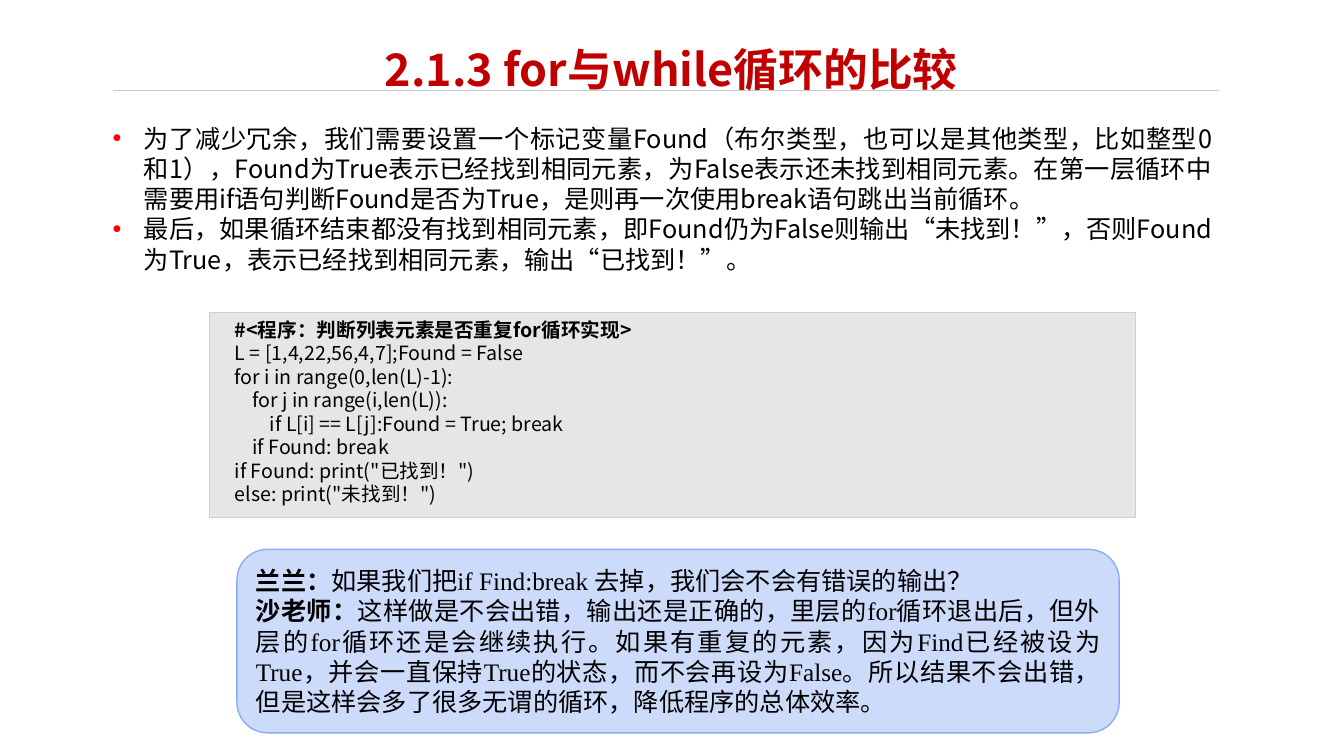
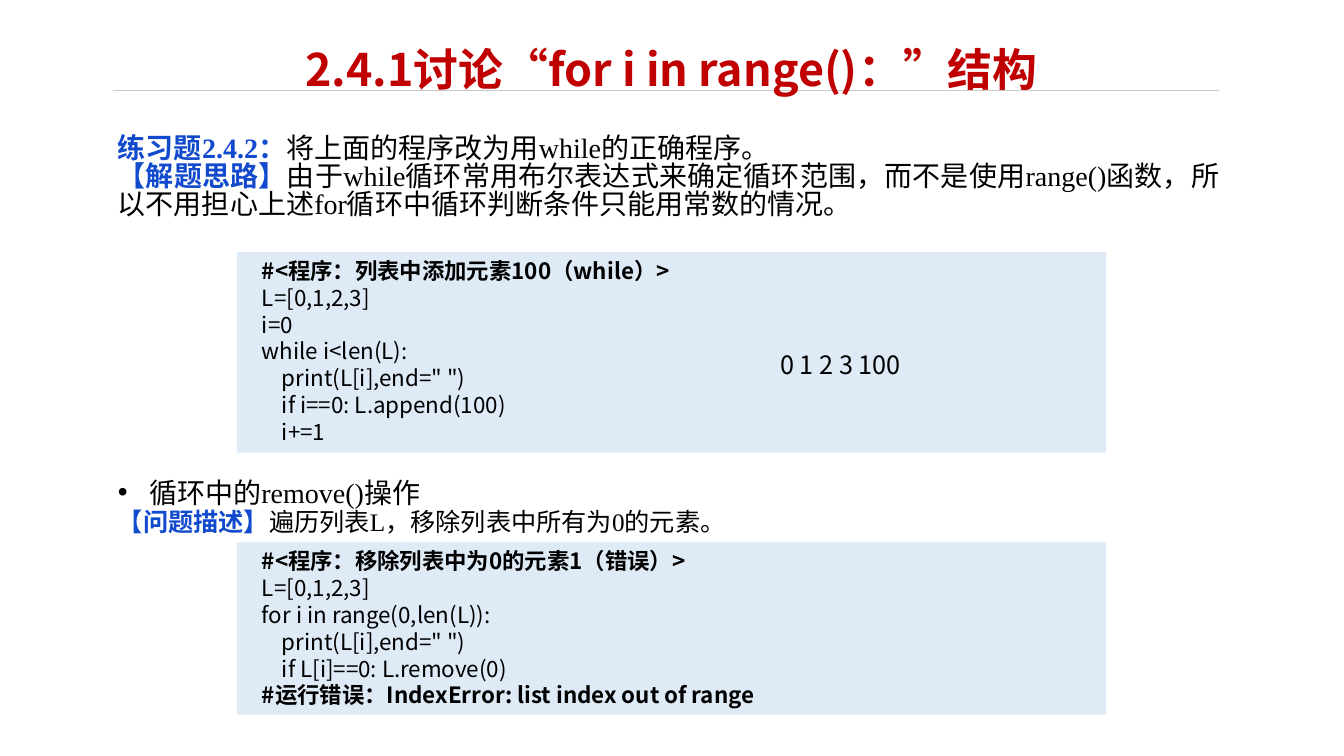
from lxml.etree import SubElement
from pptx import Presentation
from pptx.dml.color import RGBColor
from pptx.enum.lang import MSO_LANGUAGE_ID
from pptx.enum.shapes import MSO_CONNECTOR, MSO_SHAPE
from pptx.enum.text import MSO_ANCHOR, MSO_AUTO_SIZE, PP_ALIGN
from pptx.oxml.ns import qn
from pptx.util import Inches, Pt

# Shared style
SANS, SERIF = "Noto Sans CJK SC", "Times New Roman"
BLACK = RGBColor(0x00, 0x00, 0x00)
TITLE_RED = RGBColor(0xC0, 0x00, 0x00)
BULLET_RED = RGBColor(0xFF, 0x00, 0x00)
LABEL_BLUE = RGBColor(0x12, 0x4A, 0xCD)
RULE_GREY = RGBColor(0xC9, 0xC9, 0xC9)
CODE_GREY = RGBColor(0xE7, 0xE6, 0xE6)
CODE_EDGE = RGBColor(0xD0, 0xCE, 0xCE)
CODE_BLUE = RGBColor(0xDE, 0xEA, 0xF6)
TALK_BLUE = RGBColor(0xCD, 0xDB, 0xFB)
TALK_EDGE = RGBColor(0x8B, 0xAC, 0xF5)
WIDTH, HEIGHT = 13.33, 7.5
TITLE_WIDTH = 8.62
TITLE_LEFT = 2.35
LINE_FACTOR = 1.2
HANG = 0.31
CODE_INDENT = 0.15
BOLD = {"bold": True}
LABEL = {"bold": True, "color": LABEL_BLUE}

# Content: a paragraph is (runs, paragraph format), a run is (text, run format)
COMPARE_TITLE = "2.1.3 for与while循环的比较"
FLAG_POINTS = [
    "为了减少冗余，我们需要设置一个标记变量Found（布尔类型，也可以是其他类型，比如整型0和1），"
    "Found为True表示已经找到相同元素，为False表示还未找到相同元素。在第一层循环中需要用if语句"
    "判断Found是否为True，是则再一次使用break语句跳出当前循环。 ",
    "最后，如果循环结束都没有找到相同元素，即Found仍为False则输出“未找到！”，"
    "否则Found为True，表示已经找到相同元素，输出“已找到！”。",
]
DUPLICATE_CODE = """#<程序：判断列表元素是否重复for循环实现>
L = [1,4,22,56,4,7];Found = False
for i in range(0,len(L)-1):
    for j in range(i,len(L)):
        if L[i] == L[j]:Found = True; break
    if Found: break
if Found: print("已找到！")
else: print("未找到！")"""
DIALOGUE = [
    ([("兰兰：", BOLD), ("如果我们把", {}), ("if Find:break ", {}),
      ("去掉，我们会不会有错误的输出？", {})], {}),
    ([("沙老师：", BOLD),
      ("这样做是不会出错，输出还是正确的，里层的for循环退出后，但外层的for循环还是会继续执行。"
       "如果有重复的元素，因为Find已经被设为True，并会一直保持True的状态，而不会再设为False。"
       "所以结果不会出错，但是这样会多了很多无谓的循环，降低程序的总体效率。", {})], {}),
]

RANGE_TITLE = "2.4.1讨论“for i in range()：”结构"
EXERCISE = [
    ([("练习题2.4.2：", LABEL), ("将上面的程序改为用while的正确程序。", {})], {}),
    ([("【解题思路】", LABEL),
      ("由于while循环常用布尔表达式来确定循环范围，而不是使用range()函数，"
       "所以不用担心上述for循环中循环判断条件只能用常数的情况。", {})], {"after": 6}),
]
APPEND_CODE = """#<程序：列表中添加元素100（while）>
L=[0,1,2,3]
i=0
while i<len(L):
    print(L[i],end=" ")
    if i==0: L.append(100)
    i+=1"""
APPEND_OUTPUT = "0 1 2 3 100"
REMOVE_TASK = [
    ([("循环中的remove()操作", {})], {"bullet": BLACK}),
    ([("【问题描述】", {**LABEL, "size": 18}),
      ("遍历列表L，移除列表中所有为0的元素。", {"size": 18})], {}),
]
REMOVE_CODE = """#<程序：移除列表中为0的元素1（错误）>
L=[0,1,2,3]
for i in range(0,len(L)):
    print(L[i],end=" ")
    if L[i]==0: L.remove(0)
#运行错误：IndexError: list index out of range"""


def add_run(paragraph, text, size, latin=SANS, color=BLACK, bold=False):
    run = paragraph.add_run()
    run.text = text
    font = run.font
    font.size, font.bold, font.name = Pt(size), bold, latin
    font.color.rgb = color
    font.language_id = MSO_LANGUAGE_ID.SIMPLIFIED_CHINESE
    east_asian = SubElement(font._element, qn("a:ea"))
    east_asian.set("typeface", SANS)


def set_bullet(paragraph, color):
    props = paragraph._p.get_or_add_pPr()
    props.set("marL", str(Inches(HANG)))
    props.set("indent", str(-Inches(HANG)))
    fill = SubElement(SubElement(props, qn("a:buClr")), qn("a:srgbClr"))
    fill.set("val", str(color))
    SubElement(props, qn("a:buFont")).set("typeface", "Arial")
    SubElement(props, qn("a:buChar")).set("char", "•")


def write(shape, paragraphs, size, line=None, align=PP_ALIGN.JUSTIFY,
          anchor=MSO_ANCHOR.TOP, first_indent=0, **run_format):
    """Fill a shape with formatted paragraphs; line is the pitch in points."""
    frame = shape.text_frame
    frame.word_wrap = True
    frame.auto_size = MSO_AUTO_SIZE.NONE
    frame.vertical_anchor = anchor
    for index, (runs, layout) in enumerate(paragraphs):
        paragraph = frame.add_paragraph() if index else frame.paragraphs[0]
        paragraph.alignment = align
        paragraph.line_spacing = Pt(line or size * LINE_FACTOR)
        paragraph.space_before = Pt(0)
        paragraph.space_after = Pt(layout.get("after", 0))
        if first_indent:
            paragraph._p.get_or_add_pPr().set("indent", str(Inches(first_indent)))
        if "bullet" in layout:
            set_bullet(paragraph, layout["bullet"])
        for text, own_format in runs:
            add_run(paragraph, text, **{"size": size, **run_format, **own_format})


def plain(text, **layout):
    return [(text, {})], layout


def add_text(slide, box, paragraphs, size, **text_format):
    write(slide.shapes.add_textbox(*map(Inches, box)), paragraphs, size, **text_format)


def add_panel(slide, box, fill, edge=None, edge_width=1, preset=MSO_SHAPE.RECTANGLE):
    panel = slide.shapes.add_shape(preset, *map(Inches, box))
    panel.shadow.inherit = False
    panel.fill.solid()
    panel.fill.fore_color.rgb = fill
    if edge is None:
        panel.line.fill.background()
    else:
        panel.line.color.rgb = edge
        panel.line.width = Pt(edge_width)
    return panel


def add_code(slide, box, code, size, fill, **edge):
    lines = [([(line, BOLD if line.startswith("#") else {})], {})
             for line in code.splitlines()]
    write(add_panel(slide, box, fill, **edge), lines, size, first_indent=CODE_INDENT)


def add_titled_slide(deck, layout, title):
    slide = deck.slides.add_slide(layout)
    heading = slide.shapes.title
    heading.left, heading.top = Inches(TITLE_LEFT), Inches(0.4)
    heading.width, heading.height = Inches(TITLE_WIDTH), Inches(0.61)
    write(heading, [plain(title)], 32, line=34.5, align=PP_ALIGN.CENTER,
          anchor=MSO_ANCHOR.MIDDLE, color=TITLE_RED, bold=True)
    return slide


def add_layout_rule(slide, layout):
    """Draw the title rule and hand it to the layout, so every slide shows it."""
    rule = slide.shapes.add_connector(
        MSO_CONNECTOR.STRAIGHT, *map(Inches, (1.12, 0.9, 12.09, 0.9)))
    rule.line.color.rgb = RULE_GREY
    rule.line.width = Pt(1)
    SubElement(rule.element.spPr, qn("a:effectLst"))
    layout.shapes.element.append(rule.element)


def build_compare(slide):
    add_text(slide, (1.02, 1.17, 11.1, 1.62),
             [plain(point, bullet=BULLET_RED) for point in FLAG_POINTS], 18)
    add_code(slide, (2.08, 3.1, 9.18, 2.03), DUPLICATE_CODE, 14, CODE_GREY,
             edge=CODE_EDGE, edge_width=0.75)
    talk = add_panel(slide, (2.35, 5.45, 8.75, 1.82), TALK_BLUE, edge=TALK_EDGE,
                     preset=MSO_SHAPE.FLOWCHART_ALTERNATE_PROCESS)
    write(talk, DIALOGUE, 18, anchor=MSO_ANCHOR.MIDDLE, latin=SERIF)


def build_range(slide):
    # Exercise and its program
    add_text(slide, (1.07, 1.3, 11.12, 0.94), EXERCISE, 20, line=20, latin=SERIF)
    add_code(slide, (TITLE_LEFT, 2.5, TITLE_WIDTH, 1.99), APPEND_CODE, 16, CODE_BLUE)
    # Removal task and its program
    add_text(slide, (1.07, 4.72, 11.12, 0.66), REMOVE_TASK, 20, line=20, latin=SERIF)
    add_code(slide, (TITLE_LEFT, 5.38, TITLE_WIDTH, 1.71), REMOVE_CODE, 16, CODE_BLUE)
    # Printed result of the first program
    add_text(slide, (7.64, 3.42, 1.82, 0.4), [plain(APPEND_OUTPUT)], 18,
             align=PP_ALIGN.LEFT)


def main():
    deck = Presentation()
    deck.slide_width, deck.slide_height = Inches(WIDTH), Inches(HEIGHT)
    title_only = deck.slide_layouts[5]
    compare = add_titled_slide(deck, title_only, COMPARE_TITLE)
    add_layout_rule(compare, title_only)
    build_compare(compare)
    build_range(add_titled_slide(deck, title_only, RANGE_TITLE))
    deck.save("out.pptx")


if __name__ == "__main__":
    main()
